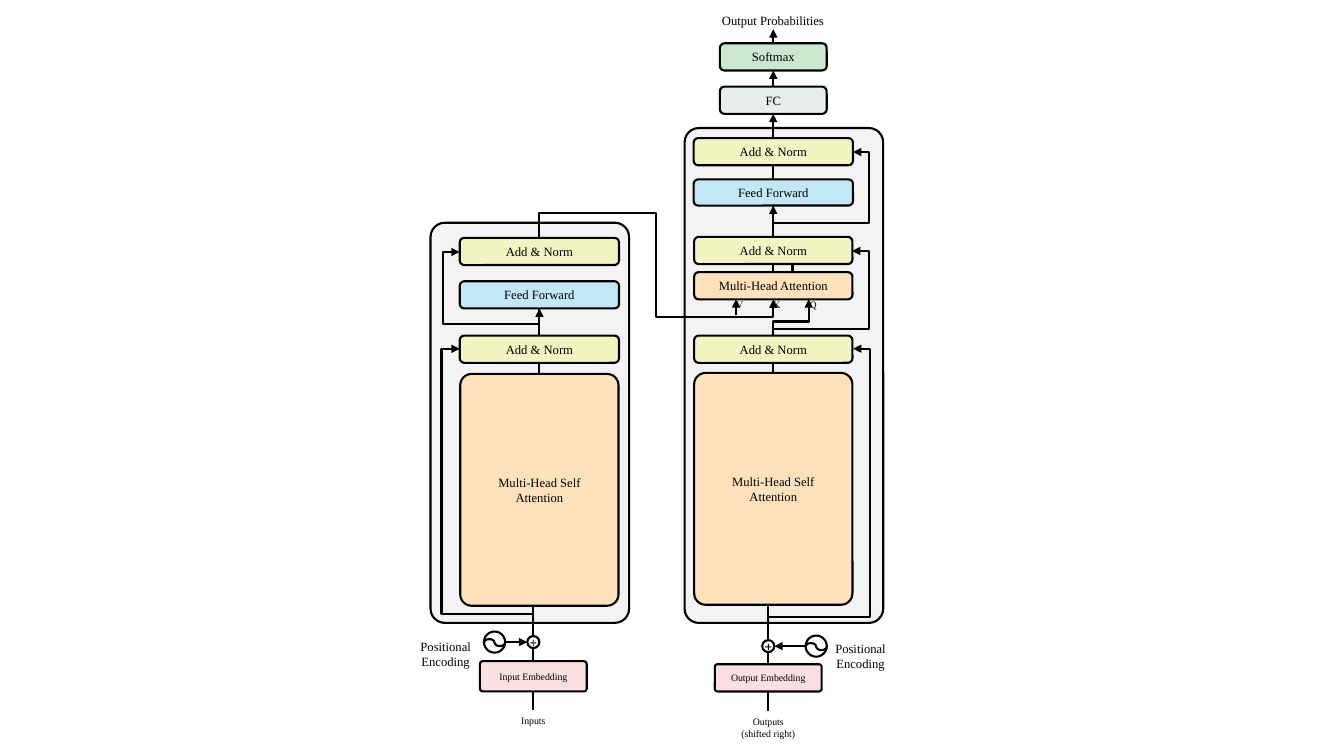
from lxml import etree
from pptx import Presentation
from pptx.dml.color import RGBColor
from pptx.enum.shapes import MSO_CONNECTOR, MSO_SHAPE
from pptx.enum.text import MSO_ANCHOR, PP_ALIGN
from pptx.oxml.ns import qn
from pptx.util import Inches, Pt

STRAIGHT, ELBOW = MSO_CONNECTOR.STRAIGHT, MSO_CONNECTOR.ELBOW
ROUNDED, OVAL, ARC = MSO_SHAPE.ROUNDED_RECTANGLE, MSO_SHAPE.OVAL, MSO_SHAPE.ARC
MIDDLE = MSO_ANCHOR.MIDDLE
LEFT, CENTER = PP_ALIGN.LEFT, PP_ALIGN.CENTER

THEME = {
    "font": "Times New Roman", "body": Pt(9), "small": Pt(7), "stroke": Pt(1.5),
    "ink": "000000", "paper": "FFFFFF", "panel": "F3F3F4", "norm": "F2F4C1",
    "forward": "C2E8F7", "attention": "FFE2BB", "embedding": "FCE0E1",
    "softmax": "CCE7CF", "fc": "E8EEEB",
}
INK = RGBColor.from_string(THEME["ink"])

# Grid: 1333 columns by 750 rows of square cells
CELL = Inches(0.01)
prs = Presentation()
prs.slide_width, prs.slide_height = 1333 * CELL, 750 * CELL
slide = prs.slides.add_slide(prs.slide_layouts[6])
canvas = slide.shapes

ENCODER, DECODER = 535, 767          # axes of the two stacks
ENC_INPUT, DEC_INPUT = 529, 762      # axes of their input paths


def block(kind, area, fill=None, text="", size="body", align=CENTER, parent=canvas):
    """Add a shape, or a text box when kind is None; area is in cells."""
    box = [int(cells * CELL) for cells in area]
    if kind is None:
        shape = parent.add_textbox(*box)
    else:
        shape = parent.add_shape(kind, *box)
        shape.shadow.inherit = False
        shape.line.color.rgb, shape.line.width = INK, THEME["stroke"]
        if fill:
            shape.fill.solid()
            shape.fill.fore_color.rgb = RGBColor.from_string(THEME[fill])
        else:
            shape.fill.background()
        shape.text_frame.vertical_anchor = MIDDLE
    if text:
        shape.text_frame.word_wrap = True
        shape.text_frame.text = text
        for paragraph in shape.text_frame.paragraphs:
            paragraph.alignment = align
            for run in paragraph.runs:
                run.font.name, run.font.size = THEME["font"], THEME[size]
                run.font.color.rgb = INK
    return shape


def wire(start, end, arrow=False, bends=(), axis=1):
    """Join points or blocks upwards; bends alternate axes (0 = x, 1 = y)."""
    tail = start if isinstance(start, tuple) else (0, 0)
    head = end if isinstance(end, tuple) else (0, 0)
    ends = [tail, head]
    if bends and axis == 1:
        # The elbow is laid out sideways and turned a quarter clockwise
        cx, cy = (tail[0] + head[0]) / 2, (tail[1] + head[1]) / 2
        u, v = head[1] - tail[1], tail[0] - head[0]
        ends = [(cx - u / 2, cy - v / 2), (cx + u / 2, cy + v / 2)]
    line = canvas.add_connector(ELBOW if bends else STRAIGHT,
                                *[int(c * CELL) for point in ends for c in point])
    if tail is not start:
        line.begin_connect(start, 0)
    if head is not end:
        line.end_connect(end, 2)
    line.line.color.rgb, line.line.width = INK, THEME["stroke"]
    properties = line._element.spPr
    if bends:
        if axis == 1:
            properties.find(qn("a:xfrm")).set("rot", "5400000")
        geometry = properties.find(qn("a:prstGeom"))
        geometry.set("prst", f"bentConnector{len(bends) + 2}")
        guides = geometry.find(qn("a:avLst"))
        if guides is None:
            guides = etree.SubElement(geometry, qn("a:avLst"))
        for i, bend in enumerate(bends):
            k = (axis + i) % 2
            share = (bend - tail[k]) / (head[k] - tail[k])
            etree.SubElement(guides, qn("a:gd"), name=f"adj{i + 1}",
                             fmla=f"val {round(share * 100000)}")
    if arrow:
        etree.SubElement(properties.find(qn("a:ln")), qn("a:tailEnd"), type="triangle")
    etree.SubElement(properties, qn("a:effectLst"))


# Stack panels
for area in [(679, 127, 197, 491), (427, 221, 197, 397)]:
    block(ROUNDED, area, "panel").adjustments[0] = 0.072

# Layers: key, axis, top, width, height, fill, text
layers = {}
for key, axis_x, top, width, height, fill, text in [
    ("enc norm 1", ENCODER, 333, 158, 27, "norm", "Add & Norm"),
    ("enc forward", ENCODER, 279, 158, 27, "forward", "Feed Forward"),
    ("enc norm 2", ENCODER, 236, 158, 27, "norm", "Add & Norm"),
    ("dec norm 1", DECODER, 333, 157, 27, "norm", "Add & Norm"),
    ("cross", DECODER, 270, 157, 27, "attention", "Multi-Head Attention"),
    ("dec norm 2", DECODER, 235, 157, 27, "norm", "Add & Norm"),
    ("dec forward", DECODER, 178, 158, 26, "forward", "Feed Forward"),
    ("dec norm 3", DECODER, 137, 158, 27, "norm", "Add & Norm"),
    ("fc", DECODER, 86, 106, 27, "fc", "FC"),
    ("softmax", DECODER, 43, 106, 27, "softmax", "Softmax"),
    ("enc attention", ENCODER, 371, 157, 230, "attention", "Multi-Head Self Attention"),
    ("dec attention", DECODER, 370, 157, 230, "attention", "Multi-Head Self Attention"),
]:
    area = (axis_x - width / 2, top, width, height)
    layers[key] = block(ROUNDED, area, fill, text)
    if height > width:
        layers[key].adjustments[0] = 0.072

# Input paths: label, embedding, sum and positional encoding
for axis_x, name, label, label_area, top, sum_y, wave_x, note_area, stack_bottom in [
    (ENC_INPUT, "Input Embedding", "Inputs", (491, 704, 76, 23),
     656, 637, 480, (403, 629, 78, 42), 601),
    (DEC_INPUT, "Output Embedding", "Outputs\n(shifted right)", (714.5, 705, 95, 35),
     659, 641, 799, (817, 631, 73, 42), 600),
]:
    caption = block(None, label_area, text=label, size="small")
    embedding = block(ROUNDED, (axis_x - 53, top, 106, 686 - top),
                      "embedding", name, "small")
    embedding.adjustments[0] = 0.097
    wire(caption, embedding)
    wire(embedding, (axis_x, sum_y + 6))
    wire((axis_x, sum_y - 6), (axis_x, stack_bottom))

    plus = block(OVAL, (axis_x - 6, sum_y - 6, 12, 12), "paper", "+")
    frame = plus.text_frame
    frame.word_wrap = False
    frame.margin_left = frame.margin_right = frame.margin_top = frame.margin_bottom = 0
    font = frame.paragraphs[0].runs[0].font
    font.color.rgb = RGBColor.from_string(THEME["paper"])
    outline = etree.Element(qn("a:ln"), w=str(Pt(0.75)))
    outline_fill = etree.SubElement(outline, qn("a:solidFill"))
    etree.SubElement(outline_fill, qn("a:srgbClr"), val=THEME["ink"])
    font._element.insert(0, outline)

    wave = canvas.add_group_shape().shapes
    block(OVAL, (wave_x, sum_y - 10.5, 21, 21), "paper", parent=wave)
    for half in range(2):
        arc = block(ARC, (wave_x + 10.5 * half, sum_y - 3, 10.5, 7), parent=wave)
        arc.adjustments[0], arc.adjustments[1] = 107.44, 0
        arc.rotation = 180 * half
    side = 1 if wave_x > axis_x else -1
    wire((wave_x + 10.5 - 10.5 * side, sum_y), (axis_x + 6 * side, sum_y), True)
    block(None, note_area, text="Positional Encoding")

# Straight links between layers
for lower, upper, arrow in [
    ("enc attention", "enc norm 1", False), ("enc norm 1", "enc forward", True),
    ("dec attention", "dec norm 1", False), ("cross", "dec norm 2", False),
    ("dec norm 2", "dec forward", True), ("dec forward", "dec norm 3", False),
    ("dec norm 3", "fc", True), ("fc", "softmax", True),
]:
    wire(layers[lower], layers[upper], arrow)
wire(layers["softmax"], (DECODER, 29), True)
wire((786, 270), (786, 263))
wire((730, 313), (730, 297), True)

# Residual paths, query path and encoder output
for start, end, bends in [
    ((ENC_INPUT, 604), (456, 346), (609, 438)),
    ((ENCODER, 306), (456, 250), (321, 439)),
    ((DEC_INPUT, 611), (846, 346), (612, 863)),
    ((DECODER, 333), (845, 249), (326, 862)),
    ((DECODER, 333), (802, 297), (319,)),
    ((ENCODER, 236), (DECODER, 297), (211, 651, 314)),
]:
    wire(start, end, True, bends)
wire((DECODER, 221), (846, 151), True, (862,), axis=0)

# Attention inputs and output label
for letter, left in [("V", 730), ("K", 767), ("Q", 803)]:
    frame = block(None, (left, 291, 9, 23), text=letter, size="small",
                  align=LEFT).text_frame
    frame.word_wrap = False
    frame.margin_left = frame.margin_right = 0
block(None, (682, 8, 169, 26), text="Output Probabilities")

prs.save("out.pptx")
